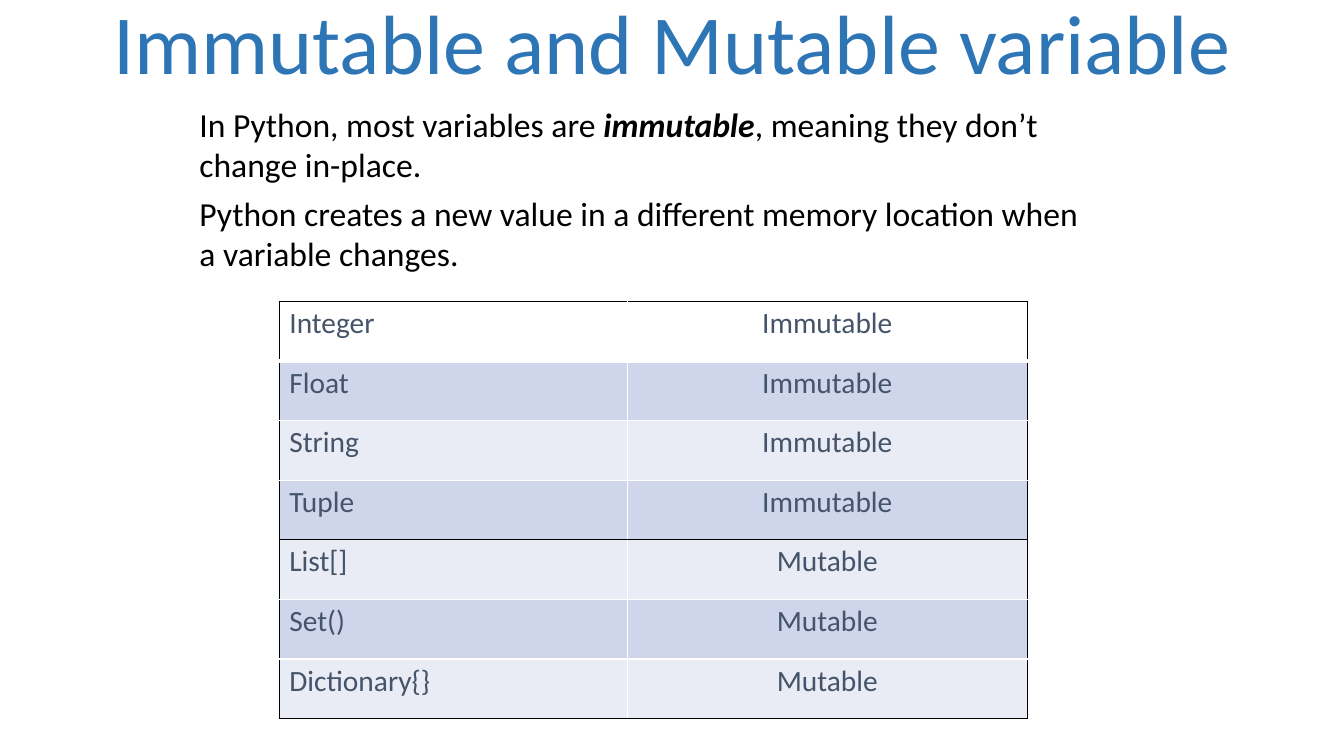
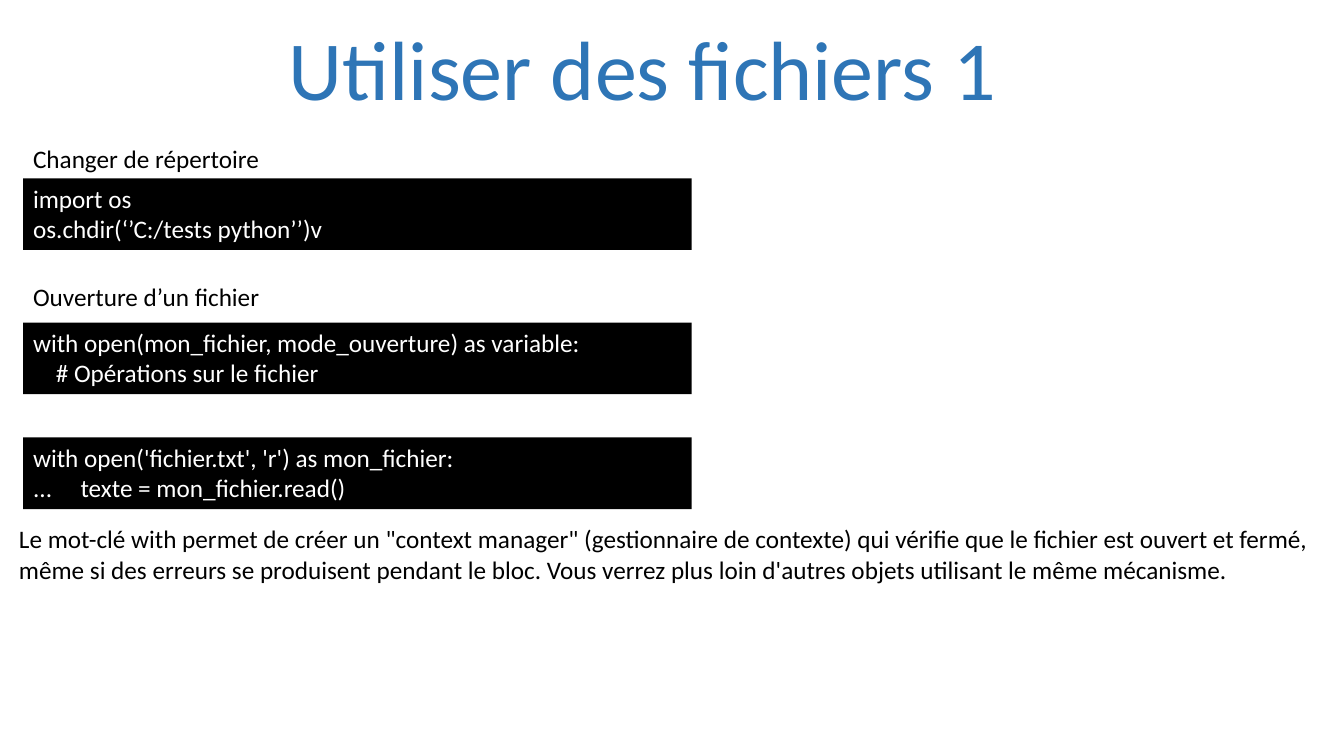
from dataclasses import dataclass
from typing import Any, NamedTuple, Optional

from lxml import etree
from pptx import Presentation
from pptx import util as u
from pptx.dml.color import RGBColor
from pptx.enum import shapes, text
from pptx.oxml import ns

BLUE = RGBColor(0x2E, 0x75, 0xB6)
SLATE = RGBColor(0x44, 0x54, 0x6A)
BLACK = RGBColor(0, 0, 0)
WHITE = RGBColor(255, 255, 255)
BAND_DARK = RGBColor(0xCF, 0xD5, 0xEA)
BAND_LIGHT = RGBColor(0xE9, 0xEB, 0xF5)

LEFT, CENTER = text.PP_ALIGN.LEFT, text.PP_ALIGN.CENTER
TOP, MIDDLE = text.MSO_ANCHOR.TOP, text.MSO_ANCHOR.MIDDLE


class Box(NamedTuple):
    left: float
    top: float
    width: float
    height: float

    def lengths(self) -> list[u.Length]:
        return [u.Inches(value) for value in self]


class Style(NamedTuple):
    font: dict[str, Any]
    color: RGBColor
    paragraph: dict[str, Any]
    anchor: text.MSO_ANCHOR = TOP
    grow: bool = False


class Span(NamedTuple):
    words: str
    emphasis: bool = False


@dataclass(frozen=True)
class Block:
    box: Box
    lines: list[list[Span]]
    style: Style
    fill: Optional[RGBColor] = None


def font_format(points: int) -> dict[str, Any]:
    return {"name": "Calibri", "size": u.Pt(points)}


TITLE = Style(font_format(60), BLUE, {"alignment": CENTER, "line_spacing": 0.9}, MIDDLE)
BODY = Style(font_format(24), BLACK, {"alignment": LEFT, "space_after": u.Pt(6)})
LABEL = Style(font_format(18), BLACK, {"alignment": LEFT}, grow=True)
REMARK = LABEL._replace(anchor=MIDDLE)
CODE = LABEL._replace(color=WHITE)
TYPE_NAME = Style(font_format(21), SLATE, {"alignment": LEFT})
MUTABILITY = TYPE_NAME._replace(paragraph={"alignment": CENTER})

COLUMN_LEFT, COLUMN_WIDTH = 0.23, 6.63
LABEL_HEIGHT, CODE_HEIGHT = 0.4, 0.71

TABLE_BOX = Box(2.77, 2.99, 7.42, 4.14)
TABLE_COLUMNS = (3.45, 3.97)
IMMUTABLE_TYPES = ["Integer", "Float", "String", "Tuple"]
MUTABLE_TYPES = ["List[]", "Set()", "Dictionary{}"]


def apply(target: Any, formats: dict[str, Any]) -> None:
    for name, value in formats.items():
        setattr(target, name, value)


def write(frame: Any, lines: list[list[Span]], style: Style) -> None:
    for number, spans in enumerate(lines):
        paragraph = frame.add_paragraph() if number else frame.paragraphs[0]
        apply(paragraph, style.paragraph)
        for span in spans:
            run = paragraph.add_run()
            run.text = span.words
            apply(run.font, style.font)
            apply(run.font, {"bold": span.emphasis, "italic": span.emphasis})
            run.font.color.rgb = style.color


def draw_block(slide: Any, block: Block) -> None:
    place = block.box.lengths()
    if block.fill is None:
        shape = slide.shapes.add_textbox(*place)
    else:
        shape = slide.shapes.add_shape(shapes.MSO_SHAPE.RECTANGLE, *place)
        shape.shadow.inherit = False
        shape.fill.solid()
        shape.fill.fore_color.rgb = block.fill
        shape.line.fill.background()
    fit = text.MSO_AUTO_SIZE.SHAPE_TO_FIT_TEXT if block.style.grow else text.MSO_AUTO_SIZE.NONE
    apply(shape.text_frame, {
        "word_wrap": True, "vertical_anchor": block.style.anchor, "auto_size": fit})
    write(shape.text_frame, block.lines, block.style)


def plain(*lines: str) -> list[list[Span]]:
    return [[Span(line)] for line in lines]


def draw_title(slide: Any, words: str, left: float, top: float) -> None:
    draw_block(slide, Block(Box(left, top, 13.33, 1.45), plain(words), TITLE))


def draw_label(slide: Any, top: float, words: str) -> None:
    box = Box(COLUMN_LEFT, top, COLUMN_WIDTH, LABEL_HEIGHT)
    draw_block(slide, Block(box, plain(words), LABEL))


def draw_code(slide: Any, top: float, *lines: str) -> None:
    box = Box(COLUMN_LEFT, top, COLUMN_WIDTH, CODE_HEIGHT)
    draw_block(slide, Block(box, plain(*lines), CODE, BLACK))


def set_borders(cell: Any, borders: dict[str, tuple[RGBColor, float]]) -> None:
    properties = cell._tc.get_or_add_tcPr()
    for position, (side, (color, points)) in enumerate(borders.items()):
        line = etree.Element(ns.qn(f"a:ln{side}"), w=str(u.Pt(points)))
        fill = etree.SubElement(line, ns.qn("a:solidFill"))
        etree.SubElement(fill, ns.qn("a:srgbClr"), val=str(color))
        properties.insert(position, line)


def draw_type_table(slide: Any) -> None:
    rows = [(name, "Immutable") for name in IMMUTABLE_TYPES]
    rows += [(name, "Mutable") for name in MUTABLE_TYPES]
    black_rules = {0, len(IMMUTABLE_TYPES), len(rows)}
    table = slide.shapes.add_table(len(rows), len(TABLE_COLUMNS), *TABLE_BOX.lengths()).table
    apply(table, {"first_row": False, "horz_banding": False})
    for column, width in zip(table.columns, TABLE_COLUMNS):
        column.width = u.Inches(width)

    def row_rule(index: int) -> tuple[RGBColor, float]:
        return (BLACK if index in black_rules else WHITE, 3 if index == 1 else 1)

    def column_rule(index: int) -> tuple[RGBColor, float]:
        return (BLACK if index in (0, len(TABLE_COLUMNS)) else WHITE, 1)

    for r, entries in enumerate(rows):
        table.rows[r].height = u.Inches(TABLE_BOX.height / len(rows))
        for c, (words, style) in enumerate(zip(entries, (TYPE_NAME, MUTABILITY))):
            cell = table.cell(r, c)
            if r == 0:
                cell.fill.background()
            else:
                cell.fill.solid()
                cell.fill.fore_color.rgb = BAND_DARK if r % 2 else BAND_LIGHT
            apply(cell, {"margin_left": u.Inches(0.1), "margin_right": u.Inches(0.1),
                         "margin_top": u.Inches(0.04), "margin_bottom": u.Inches(0.04)})
            write(cell.text_frame, plain(words), style)
            set_borders(cell, {"L": column_rule(c), "R": column_rule(c + 1),
                               "T": row_rule(r), "B": row_rule(r + 1)})


def build_variables(slide: Any) -> None:
    draw_title(slide, "Immutable and Mutable variable", 0, -0.26)
    explanation = [
        [Span("In Python, most variables are "), Span("immutable", True),
         Span(", meaning they don’t change in-place.")],
        [Span("Python creates a new value in a different memory location "
              "when a variable changes.")],
    ]
    draw_block(slide, Block(Box(1.88, 0.98, 9, 1.84), explanation, BODY))
    draw_type_table(slide)


def build_files(slide: Any) -> None:
    draw_title(slide, "Utiliser des fichiers 1", -0.29, 0)
    draw_label(slide, 1.37, "Changer de répertoire")
    draw_code(slide, 1.77, "import os", "os.chdir(‘’C:/tests python’’)v")
    draw_label(slide, 2.74, "Ouverture d’un fichier")
    draw_code(slide, 3.2, "with open(mon_fichier, mode_ouverture) as variable:",
              "    # Opérations sur le fichier")
    draw_code(slide, 4.34, "with open('fichier.txt', 'r') as mon_fichier:",
              "...     texte = mon_fichier.read()")
    remark = ("Le mot-clé with permet de créer un \"context manager\" (gestionnaire de contexte) "
              "qui vérifie que le fichier est ouvert et fermé, même si des erreurs se produisent "
              "pendant le bloc. Vous verrez plus loin d'autres objets utilisant le même mécanisme.")
    draw_block(slide, Block(Box(0.09, 5.14, 13.24, 0.71), plain(remark), REMARK))


def main() -> None:
    deck = Presentation()
    apply(deck, {"slide_width": u.Inches(13.33), "slide_height": u.Inches(7.5)})
    for build in (build_variables, build_files):
        build(deck.slides.add_slide(deck.slide_layouts[6]))
    deck.save("out.pptx")


if __name__ == "__main__":
    main()
